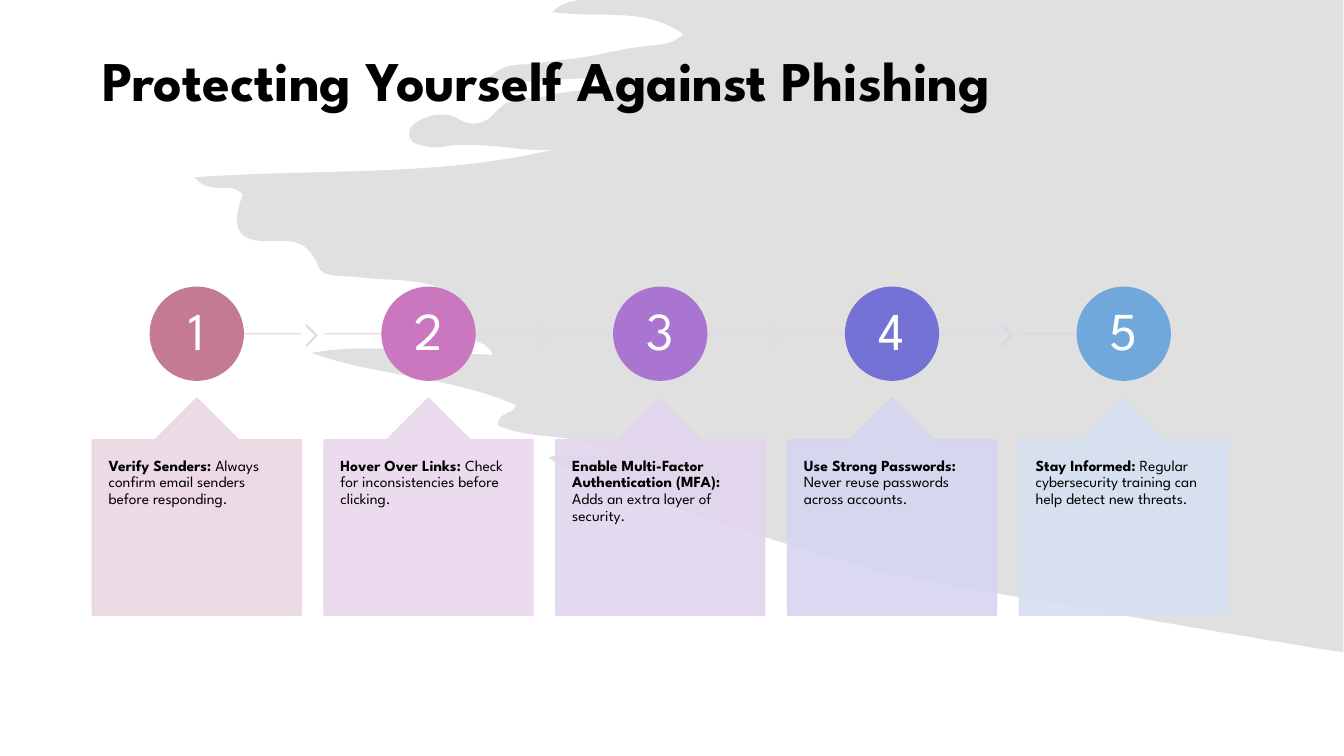
from lxml import etree
from pptx import Presentation
from pptx import util as u
from pptx.dml.color import RGBColor
from pptx.enum import shapes, text
from pptx.oxml.ns import qn

Cm = u.Cm
FONT = "League Spartan"
COLOURS = {"ink": "000000", "paper": "FFFFFF", "splash": "D9D9D9"}
INCH = 2.54

STEPS = [
    ("Verify Senders:", " Always confirm email senders before responding.",
     {"line": "EAD7DC", "chevron": "EAD7DF", "circle": "C47A93", "card": "EBD6E2"}),
    ("Hover Over Links:", " Check for inconsistencies before clicking.",
     {"line": "EBD6E6", "chevron": "ECD6EA", "circle": "CA77C0", "card": "EBD6ED"}),
    ("Enable Multi-Factor Authentication (MFA):", " Adds an extra layer of security.",
     {"line": "E8D6ED", "chevron": "E5D6EE", "circle": "A975D0", "card": "E2D6EE"}),
    ("Use Strong Passwords:", " Never reuse passwords across accounts.",
     {"line": "DED5EF", "chevron": "DAD5EF", "circle": "7572D6", "card": "D6D5F0"}),
    ("Stay Informed:", " Regular cybersecurity training can help detect new threats.",
     {"line": "D5D9F0", "circle": "70A8DB", "card": "D5E1F1"}),
]

CARD_LEFT, CARD_WIDTH, CARD_PITCH = 2.33, 5.26, 5.84
CARD_TOP, CARD_HEIGHT = 10.03, 5.47
TEXT_TOP, TEXT_HEIGHT = 11.09, 4.42
CIRCLE_TOP, CIRCLE_SIZE = 7.24, 2.34
NUMBER_SIZE = 1.65
LINE_TOP = 8.41

SPLASH_START = (5.75, 0)
SPLASH_CURVES = [
    (5.67, 0.01, 5.57, 0.03, 5.48, 0.12), (5.95, 0.19, 6.39, 0.06, 6.78, 0.34),
    (6.64, 0.47, 6.48, 0.44, 6.32, 0.47), (6.16, 0.49, 6, 0.53, 5.84, 0.56),
    (5.67, 0.59, 5.49, 0.6, 5.32, 0.63), (5.18, 0.65, 5.02, 0.61, 4.85, 0.77),
    (5.27, 0.88, 5.66, 0.71, 6.08, 0.82), (5.84, 0.92, 5.63, 0.89, 5.44, 0.95),
    (5.27, 1, 5.06, 0.94, 4.92, 1.11), (4.81, 1.24, 4.69, 1.26, 4.55, 1.18),
    (4.42, 1.11, 4.28, 1.13, 4.15, 1.2), (4.11, 1.23, 4.06, 1.26, 4.06, 1.32),
    (4.06, 1.41, 4.12, 1.43, 4.18, 1.44), (4.24, 1.46, 4.31, 1.47, 4.37, 1.46),
    (4.74, 1.39, 5.1, 1.5, 5.47, 1.49), (4.31, 1.76, 3.14, 1.67, 1.93, 1.76),
    (2.09, 1.95, 2.29, 1.79, 2.41, 1.93), (2.3, 2.22, 2.34, 2.37, 2.58, 2.39),
    (2.8, 2.41, 3.04, 2.31, 3.16, 2.65), (3.2, 2.76, 3.41, 2.73, 3.55, 2.75),
    (3.84, 2.79, 4.14, 2.75, 4.42, 2.88), (4.53, 2.93, 4.6, 2.97, 4.55, 3.11),
    (4.49, 3.25, 4.56, 3.3, 4.66, 3.36), (4.73, 3.4, 4.83, 3.39, 4.89, 3.52),
    (4.28, 3.5, 3.69, 3.4, 3.09, 3.5), (3.75, 3.74, 4.47, 3.73, 5.12, 4.02),
    (5.1, 4.12, 4.95, 4.07, 4.94, 4.22), (5.28, 4.38, 5.69, 4.27, 6.05, 4.5),
    (5.84, 4.61, 5.65, 4.44, 5.45, 4.54), (5.52, 4.69, 8.4, 5.61, 8.92, 5.71),
    (9.78, 5.87, 11.95, 6.25, 13.18, 6.45),
]
SPLASH_CORNERS = [(13.33, 6.47), (13.33, 0)]


def rgb(value):
    return RGBColor.from_string(value)


def set_opacity(shape, percent):
    for colour in shape.element.iter(qn("a:srgbClr")):
        etree.SubElement(colour, qn("a:alpha"), val=str(percent * 1000))


def paint(shape, colour, outlined=True):
    shape.shadow.inherit = False
    shape.fill.solid()
    shape.fill.fore_color.rgb = rgb(colour)
    if outlined:
        shape.line.color.rgb = rgb(colour)
        shape.line.width = u.Pt(1)
    else:
        shape.line.fill.background()


def add_preset(page, kind, left, top, width, height, colour, adjustments=(), opacity=100):
    shape = page.shapes.add_shape(kind, Cm(left), Cm(top), Cm(width), Cm(height))
    for index, value in enumerate(adjustments):
        shape.adjustments[index] = value
    paint(shape, colour)
    if opacity < 100:
        set_opacity(shape, opacity)
    return shape


def add_line(page, left, right, colour):
    line = page.shapes.add_connector(
        shapes.MSO_CONNECTOR.STRAIGHT, Cm(left), Cm(LINE_TOP), Cm(right), Cm(LINE_TOP))
    line.line.color.rgb = rgb(colour)
    line.line.width = u.Pt(1)
    set_opacity(line, 90)
    etree.SubElement(line.element.spPr, qn("a:effectLst"))


def style_paragraph(para, size, colour):
    para.line_spacing = 0.9
    para.font.name = FONT
    para.font.size = u.Pt(size)
    para.font.color.rgb = rgb(colour)


def add_text(page, left, top, width, height, spans, size, colour, margins):
    box = page.shapes.add_textbox(Cm(left), Cm(top), Cm(width), Cm(height))
    frame = box.text_frame
    frame.word_wrap = True
    frame.margin_left = frame.margin_right = Cm(margins[0])
    frame.margin_top = frame.margin_bottom = Cm(margins[1])
    para = frame.paragraphs[0]
    style_paragraph(para, size, colour)
    for words, bold in spans:
        span = para.add_run()
        span.text = words
        span.font.bold = bold
    return frame


def bend_edges(shape, curves):
    edges = list(shape.element.iter(qn("a:lnTo")))
    for edge, curve in zip(edges, curves):
        bend = etree.Element(qn("a:cubicBezTo"))
        for x, y in zip(curve[::2], curve[1::2]):
            etree.SubElement(bend, qn("a:pt"), x=str(Cm(x * INCH) - shape.left),
                             y=str(Cm(y * INCH) - shape.top))
        edge.getparent().replace(edge, bend)


def add_splash(page):
    anchors = [SPLASH_START, *(curve[4:] for curve in SPLASH_CURVES), *SPLASH_CORNERS]
    points = [(Cm(x * INCH), Cm(y * INCH)) for x, y in anchors]
    builder = page.shapes.build_freeform(*points[0])
    builder.add_line_segments(points[1:])
    splash = builder.convert_to_shape()
    bend_edges(splash, SPLASH_CURVES)
    paint(splash, COLOURS["splash"], outlined=False)
    set_opacity(splash, 80)
    page.shapes.title.element.addprevious(splash.element)


def set_title(page, words):
    title = page.shapes.title
    title.left, title.top, title.width, title.height = Cm(2.33), Cm(1.02), Cm(29.21), Cm(3.68)
    frame = title.text_frame
    frame.text = words
    frame.word_wrap = True
    frame.vertical_anchor = text.MSO_ANCHOR.TOP
    frame.margin_top = Cm(0.31)
    para = frame.paragraphs[0]
    para.alignment = text.PP_ALIGN.LEFT
    style_paragraph(para, 40, COLOURS["ink"])
    para.font.bold = True


def add_step(page, index, heading, detail, colours):
    left = CARD_LEFT + index * CARD_PITCH
    centre = left + CARD_WIDTH / 2
    is_first, is_last = index == 0, index == len(STEPS) - 1
    add_line(page, centre if is_first else left,
             centre if is_last else left + CARD_WIDTH, colours["line"])
    if not is_last:
        add_preset(page, shapes.MSO_SHAPE.CHEVRON, left + 5.38, 8.2, 0.28, 0.51,
                   colours["chevron"], (0.9,), 90)
    add_preset(page, shapes.MSO_SHAPE.OVAL, centre - CIRCLE_SIZE / 2, CIRCLE_TOP,
               CIRCLE_SIZE, CIRCLE_SIZE, colours["circle"])
    number = add_text(page, centre - NUMBER_SIZE / 2,
                      CIRCLE_TOP + (CIRCLE_SIZE - NUMBER_SIZE) / 2, NUMBER_SIZE, NUMBER_SIZE,
                      [(str(index + 1), False)], 38, COLOURS["paper"], (0.1, 0.1))
    number.vertical_anchor = text.MSO_ANCHOR.MIDDLE
    number.paragraphs[0].alignment = text.PP_ALIGN.CENTER
    add_preset(page, shapes.MSO_SHAPE.UP_ARROW_CALLOUT, left, CARD_TOP, CARD_WIDTH,
               CARD_HEIGHT, colours["card"], (0.5, 0.2, 0.2, 1), 90)
    add_text(page, left, TEXT_TOP, CARD_WIDTH, TEXT_HEIGHT,
             [(heading, True), (detail, False)], 11, COLOURS["ink"], (0.41, 0.45))


def main():
    deck = Presentation()
    deck.slide_width, deck.slide_height = Cm(33.87), Cm(19.05)
    page = deck.slides.add_slide(deck.slide_layouts.get_by_name("Title Only"))
    set_title(page, "Protecting Yourself Against Phishing")
    add_splash(page)
    for index, step in enumerate(STEPS):
        add_step(page, index, *step)
    deck.save("out.pptx")


if __name__ == "__main__":
    main()
